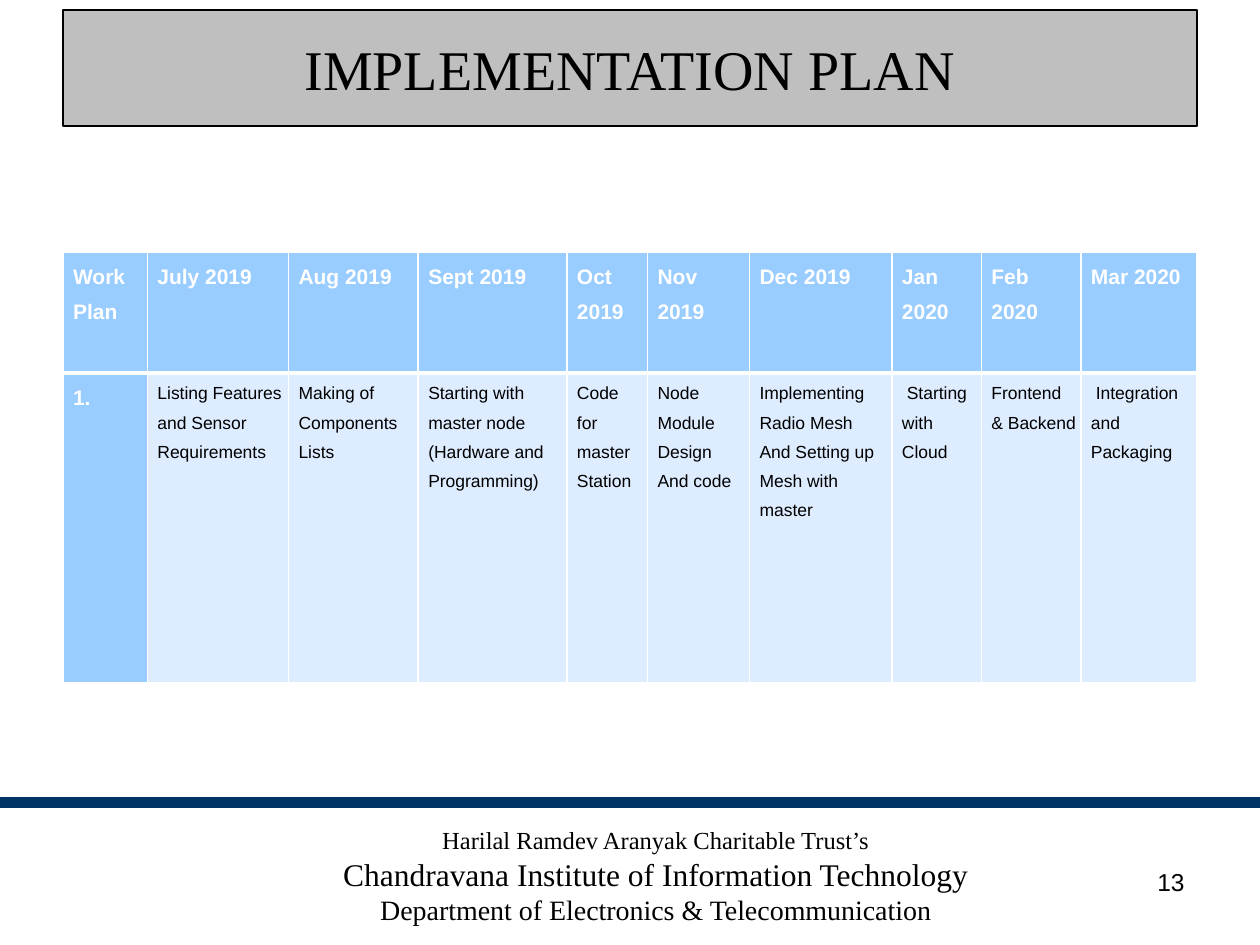
"""Build the implementation plan slide."""
import pptx
import pptx.util
import pptx.dml.color
import pptx.enum.shapes
import pptx.enum.text
import pptx.oxml
import pptx.oxml.ns

Inches, Pt = pptx.util.Inches, pptx.util.Pt
RGB = pptx.dml.color.RGBColor
ALIGN = pptx.enum.text.PP_ALIGN
ANCHOR = pptx.enum.text.MSO_ANCHOR

BLACK = RGB(0, 0, 0)
WHITE = RGB(255, 255, 255)
GREY = RGB(0xBF, 0xBF, 0xBF)
NAVY = RGB(0, 0x33, 0x66)
SKY = RGB(0x99, 0xCC, 0xFF)
PALE = RGB(0xDE, 0xEC, 0xFF)

PLAN = [
    ("Work Plan", "1.", 0.67),
    ("July 2019", "Listing Features and Sensor Requirements", 1.12),
    ("Aug 2019", "Making of Components Lists", 1.03),
    ("Sept 2019", "Starting with master node (Hardware and Programming)", 1.18),
    ("Oct 2019", "Code for master Station", 0.64),
    ("Nov 2019", "Node Module Design\nAnd code", 0.81),
    ("Dec 2019", "Implementing Radio Mesh\nAnd Setting up Mesh with master", 1.13),
    ("Jan 2020", " Starting with Cloud", 0.71),
    ("Feb 2020", "Frontend\n& Backend", 0.79),
    ("Mar 2020", " Integration and Packaging", 0.92),
]
FOOTER = [
    ("Harilal Ramdev Aranyak Charitable Trust’s", 14),
    ("Chandravana Institute of Information Technology", 18),
    ("Department of Electronics & Telecommunication", 16),
]


def write(frame, text, font="Arial", size=12, color=BLACK, bold=False,
          align=ALIGN.LEFT, space=1.0, more=False):
    """Write each line of text as a paragraph, after what is there if more is set."""
    for num, line in enumerate(text.split("\n")):
        para = frame.add_paragraph() if num or more else frame.paragraphs[0]
        para.alignment, para.line_spacing = align, space
        run = para.add_run()
        run.text = line
        run.font.name, run.font.size, run.font.bold = font, Pt(size), bold
        run.font.color.rgb = color


def edge(cell, side, color, width):
    """Give one side of a cell a solid border."""
    props = cell._tc.get_or_add_tcPr()
    line = pptx.oxml.parse_xml(
        f'<a:ln{side} {pptx.oxml.ns.nsdecls("a")} w="{Pt(width)}"><a:solidFill>'
        f'<a:srgbClr val="{color}"/></a:solidFill></a:ln{side}>')
    props.insert("LRTB".index(side), line)


class Deck:
    """Hold the style and the current slide."""

    serif = "Times New Roman"
    line = 0.75

    def __init__(self, wide, high):
        """Start a deck with one title-only slide."""
        self.show = pptx.Presentation()
        self.show.slide_width, self.show.slide_height = Inches(wide), Inches(high)
        self.slide = self.show.slides.add_slide(self.show.slide_layouts[5])

    def paint(self, shape, fill, line):
        """Fill and outline a shape."""
        shape.fill.solid()
        shape.fill.fore_color.rgb = fill
        shape.line.color.rgb = line
        shape.line.width = Pt(self.line)

    def title(self, text, box):
        """Place and format the title."""
        shape = self.slide.shapes.title
        shape.left, shape.top, shape.width, shape.height = map(Inches, box)
        self.paint(shape, GREY, BLACK)
        shape.text_frame.vertical_anchor = ANCHOR.MIDDLE
        write(shape.text_frame, text, font=self.serif, size=32, align=ALIGN.CENTER)

    def bar(self, box, color):
        """Add a plain rectangle."""
        kind = pptx.enum.shapes.MSO_SHAPE.RECTANGLE
        shape = self.slide.shapes.add_shape(kind, *map(Inches, box))
        shape.shadow.inherit = False
        self.paint(shape, color, color)

    def text(self, lines, box, **look):
        """Add a text box with one paragraph per sized line."""
        frame = self.slide.shapes.add_textbox(*map(Inches, box)).text_frame
        frame.word_wrap = True
        for num, (line, size) in enumerate(lines):
            write(frame, line, size=size, more=num > 0, **look)

    def table(self, plan, box, rows):
        """Add the plan table, one month per column."""
        grid = self.slide.shapes.add_table(
            len(rows), len(plan), *map(Inches, box)).table
        for row, high in zip(grid.rows, rows):
            row.height = Inches(high)
        for col, (*texts, wide) in enumerate(plan):
            grid.columns[col].width = Inches(wide)
            for row, text in enumerate(texts):
                self.cell(grid.cell(row, col), text, row, row == 0 or col == 0)

    def cell(self, cell, text, row, head):
        """Format one table cell."""
        cell.margin_left, cell.margin_top = Inches(0.08), Inches(0.01)
        cell.margin_right, cell.margin_bottom = Inches(0.04), 0
        cell.fill.solid()
        cell.fill.fore_color.rgb = SKY if head else PALE
        thick = "T" if row else "B"
        for side in "LRTB":
            edge(cell, side, WHITE, 3 if side == thick else 1)
        write(cell.text_frame, text, size=12 if head else 10, bold=head,
              color=WHITE if head else BLACK, space=1.5)


deck = Deck(10, 7.5)
deck.text(FOOTER, (1, 6.5, 8.41, 0.91), font=deck.serif, align=ALIGN.CENTER)
deck.bar((0, 6.33, 10, 0.08), NAVY)
deck.title("IMPLEMENTATION PLAN", (0.5, 0.08, 9, 0.92))
deck.table(PLAN, (0.5, 2, 9, 3.42), (0.96, 2.46))
deck.text([("13", 14)], (7.17, 6.83, 2.33, 0.52), align=ALIGN.RIGHT)
deck.show.save("out.pptx")
